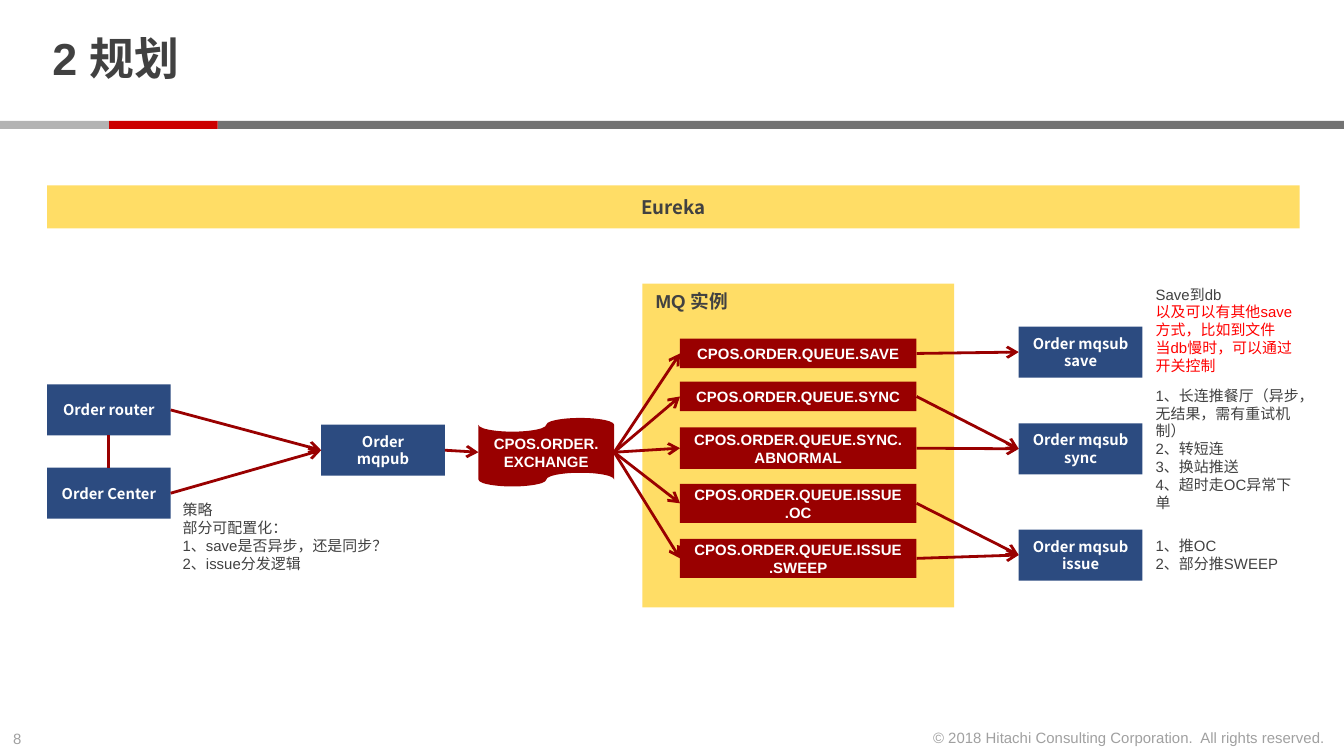
import pptx
import pptx.util
import pptx.dml.color
import pptx.enum.shapes
import pptx.enum.text
import pptx.oxml
import pptx.oxml.ns

Inches = pptx.util.Inches
SHAPE = pptx.enum.shapes.MSO_SHAPE
ALIGN = pptx.enum.text.PP_ALIGN
ANCHOR = pptx.enum.text.MSO_ANCHOR
SANS, CJK = "Arial", "Noto Sans CJK SC"
INK, MUTED, WHITE = "414141", "A0A0A0", "FFFFFF"
RED, BLUE, YELLOW = "990000", "2C4B80", "FFDD66"
LEFT_SITE, BOTTOM_SITE, RIGHT_SITE, TOP_SITE = 1, 2, 3, 0

deck = pptx.Presentation()
deck.slide_width, deck.slide_height = Inches(10), Inches(5.625)
page = deck.slides.add_slide(deck.slide_layouts[5])


def rgb(code):
    return pptx.dml.color.RGBColor.from_string(code)


def write(box, text, size, color, font=SANS, bold=False, align=ALIGN.LEFT,
          anchor=ANCHOR.MIDDLE, wrap=True):
    frame = box.text_frame
    frame.text = text
    frame.word_wrap = wrap
    frame.vertical_anchor = anchor
    for para in frame.paragraphs:
        para.alignment = align
        for span in para.runs:
            span.font.name, span.font.size = font, pptx.util.Pt(size)
            span.font.bold, span.font.color.rgb = bold, rgb(color)


# Title, divider and footer
title = page.shapes.title
title.left, title.top, title.width, title.height = map(Inches, (0.29, 0.06, 7.71, 0.8))
write(title, "2 规划", 24, INK, bold=True)
title.text_frame.margin_top = title.text_frame.margin_bottom = 0
title.text_frame.paragraphs[0].line_spacing = 0.85

footers = [
    (0, 5.38, 0.34, "8", ALIGN.LEFT),
    (6.8, 5.37, 3.16, "© 2018 Hitachi Consulting Corporation.\u00a0 All rights reserved.", ALIGN.RIGHT),
]
for left, top, width, text, align in footers:
    box = page.shapes.add_textbox(Inches(left), Inches(top), Inches(width), Inches(0.24))
    write(box, text, 8, MUTED, align=align, anchor=ANCHOR.TOP, wrap=False)

# Filled shapes: name, preset, left, top, width, height, fill, text, size, font, text colour
rect = SHAPE.RECTANGLE
specs = [
    ("bar dark", rect, 1.62, 0.9, 8.38, 0.06, "737373", "", 8, SANS, WHITE),
    ("bar red", rect, 0.81, 0.9, 0.81, 0.06, "CC0000", "", 8, SANS, WHITE),
    ("bar light", rect, 0, 0.9, 0.81, 0.06, "B3B3B3", "", 8, SANS, WHITE),
    ("eureka", rect, 0.35, 1.38, 9.32, 0.32, YELLOW, "Eureka", 10, CJK, INK),
    ("mq", rect, 4.78, 2.11, 2.32, 2.41, YELLOW, "MQ 实例", 10, SANS, INK),
    ("exchange", SHAPE.FLOWCHART_PUNCHED_TAPE, 3.56, 3.11, 1.01, 0.51, RED,
     "CPOS.ORDER.EXCHANGE", 8, SANS, WHITE),
]
services = [
    ("router", 0.35, 2.86, "Order router"),
    ("center", 0.35, 3.48, "Order Center"),
    ("mqpub", 2.39, 3.16, "Order mqpub"),
    ("sub save", 7.58, 2.43, "Order mqsub save"),
    ("sub sync", 7.58, 3.15, "Order mqsub sync"),
    ("sub issue", 7.58, 3.94, "Order mqsub issue"),
]
for name, left, top, text in services:
    specs.append((name, rect, left, top, 0.92, 0.38, BLUE, text, 7.9, CJK, WHITE))

# Each queue: suffix, top, height, subscriber
queues = [
    ("SAVE", 2.52, 0.22, "sub save"),
    ("SYNC", 2.84, 0.22, "sub sync"),
    ("SYNC.ABNORMAL", 3.18, 0.31, "sub sync"),
    ("ISSUE.OC", 3.6, 0.29, "sub issue"),
    ("ISSUE.SWEEP", 4.01, 0.29, "sub issue"),
]
for suffix, top, height, _ in queues:
    specs.append((suffix, rect, 5.06, top, 1.76, height, RED,
                  "CPOS.ORDER.QUEUE." + suffix, 8, SANS, WHITE))

shapes = {}
for name, preset, left, top, width, height, fill, text, size, font, color in specs:
    shape = page.shapes.add_shape(preset, Inches(left), Inches(top), Inches(width), Inches(height))
    shape.shadow.inherit = False
    shape.fill.solid()
    shape.fill.fore_color.rgb = rgb(fill)
    shape.line.fill.background()
    if text:
        write(shape, text, size, color, font, bold=True, align=ALIGN.CENTER)
    shapes[name] = shape
shapes["mq"].text_frame.vertical_anchor = ANCHOR.TOP
shapes["mq"].text_frame.paragraphs[0].alignment = ALIGN.LEFT

# Message flow
links = [("router", "mqpub"), ("center", "mqpub"), ("mqpub", "exchange")]
for suffix, _, _, subscriber in queues:
    links += [("exchange", suffix), (suffix, subscriber)]
routes = [(start, RIGHT_SITE, end, LEFT_SITE, True) for start, end in links]
routes.append(("router", BOTTOM_SITE, "center", TOP_SITE, False))
for start, start_site, end, end_site, arrow in routes:
    line = page.shapes.add_connector(pptx.enum.shapes.MSO_CONNECTOR.STRAIGHT, 0, 0, 0, 0)
    line.begin_connect(shapes[start], start_site)
    line.end_connect(shapes[end], end_site)
    line.line.color.rgb = rgb(RED)
    line.line.width = pptx.util.Pt(1.5)
    if arrow:
        tail = pptx.oxml.parse_xml(f'<a:tailEnd {pptx.oxml.ns.nsdecls("a")} type="arrow"/>')
        line.line._get_or_add_ln().append(tail)
    line._element.spPr.append(pptx.oxml.parse_xml(f'<a:effectLst {pptx.oxml.ns.nsdecls("a")}/>'))

# Notes beside the services
notes = [
    (1.26, 3.67, 1.65, 0.64, ["策略", "部分可配置化：", "1、save是否异步，还是同步？", "2、issue分发逻辑"]),
    (8.5, 2.07, 1.28, 0.77, ["Save到db", "以及可以有其他save方式，比如到文件", "当db慢时，可以通过开关控制"]),
    (8.5, 2.82, 1.27, 1.04, ["1、长连推餐厅（异步，无结果，需有重试机制）", "2、转短连", "3、换站推送", "4、超时走OC异常下单"]),
    (8.5, 3.94, 1.27, 0.37, ["1、推OC", "2、部分推SWEEP"]),
]
for left, top, width, height, lines in notes:
    box = page.shapes.add_textbox(Inches(left), Inches(top), Inches(width), Inches(height))
    write(box, "\n".join(lines), 8, INK)
    if lines[0].startswith("Save"):
        for para in box.text_frame.paragraphs[1:]:
            para.runs[0].font.color.rgb = rgb("FF0000")

deck.save("out.pptx")
